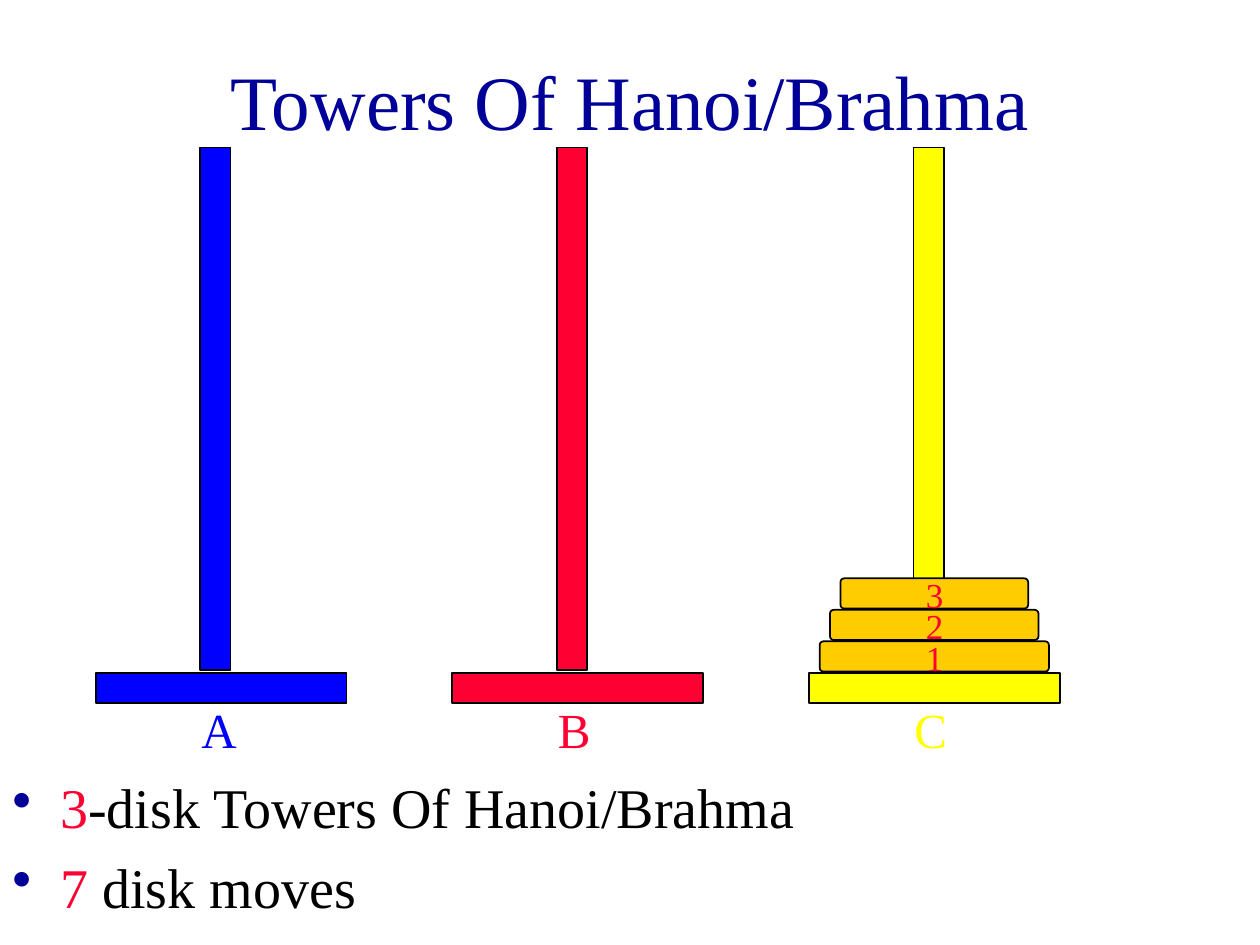
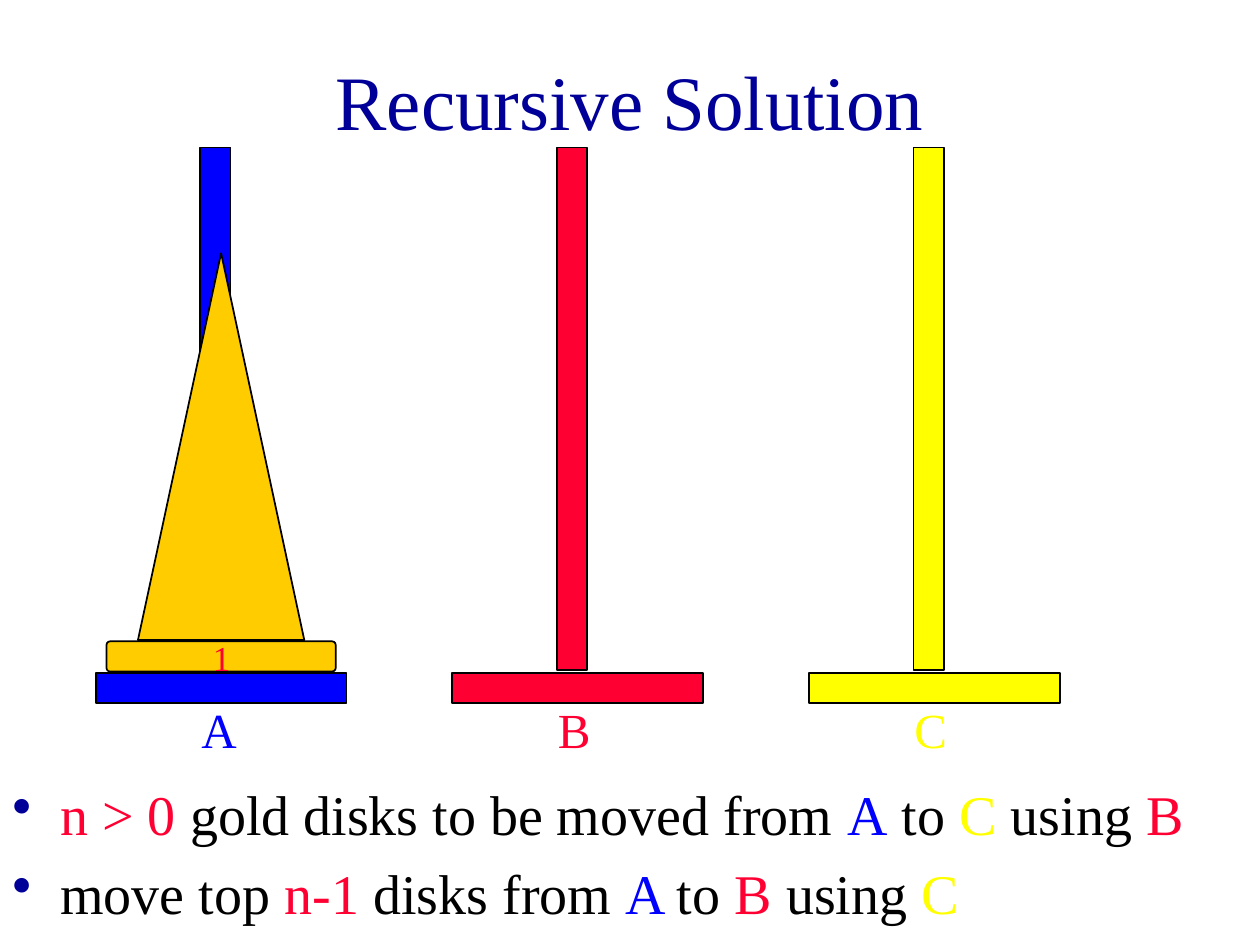
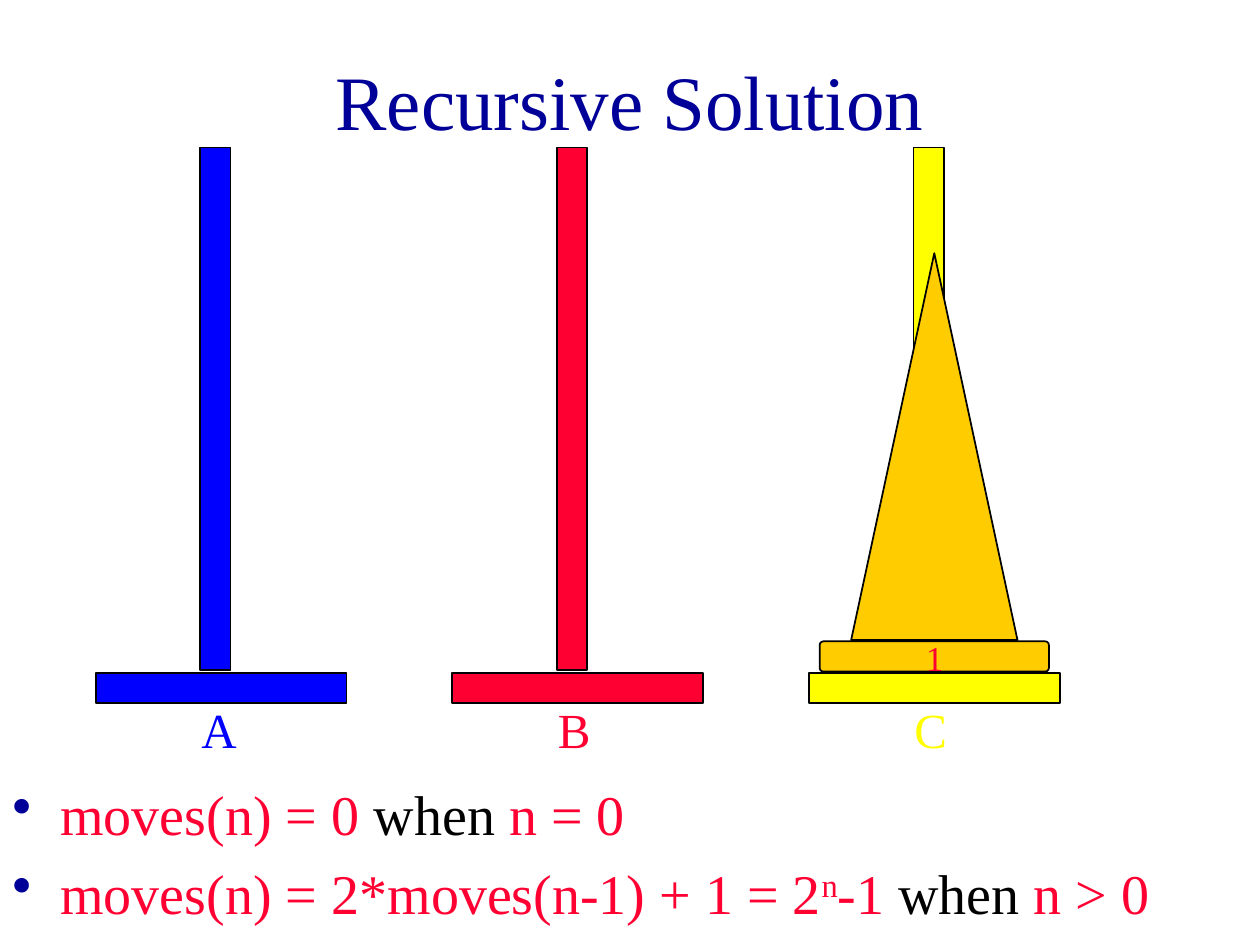
import pptx
import pptx.dml.color
import pptx.enum.shapes
import pptx.enum.text
import pptx.oxml.ns
import pptx.util
from lxml import etree

Inches, Pt = pptx.util.Inches, pptx.util.Pt
RGBColor = pptx.dml.color.RGBColor
SHAPES = pptx.enum.shapes.MSO_SHAPE
ALIGN = pptx.enum.text.PP_ALIGN
ANCHOR = pptx.enum.text.MSO_ANCHOR
AUTO_SIZE = pptx.enum.text.MSO_AUTO_SIZE

FONT = "Times New Roman"
NAVY = RGBColor(0x00, 0x00, 0x99)
BLUE = RGBColor(0x00, 0x00, 0xFF)
RED = RGBColor(0xFF, 0x00, 0x33)
YELLOW = RGBColor(0xFF, 0xFF, 0x00)
GOLD = RGBColor(0xFF, 0xCC, 0x00)
BLACK = RGBColor(0x00, 0x00, 0x00)

# Content. A run is (text, colour) or (text, colour, superscript percent).
TOWERS = [("A", BLUE), ("B", RED), ("C", YELLOW)]
SLIDES = [
    {
        "title": "Towers Of Hanoi/Brahma",
        "bodies": [
            {"top": 6.14, "line_spacing": 0.9,
             "bullets": [[("3", RED), ("-disk Towers Of Hanoi/Brahma", BLACK)]]},
            {"top": 6.72, "bullets": [[("7", RED), (" disk moves", BLACK)]]},
        ],
        "loaded": "C", "disks": 3, "cone": False,
    },
    {
        "title": "Recursive Solution",
        "bodies": [{"top": 6.14, "bullets": [
            [("n > 0", RED), (" gold disks to be moved from ", BLACK), ("A", BLUE),
             (" to ", BLACK), ("C ", YELLOW), ("using ", BLACK), ("B", RED)],
            [("move top ", BLACK), ("n-1 ", RED), ("disks from ", BLACK), ("A ", BLUE),
             ("to ", BLACK), ("B", RED), (" using ", BLACK), ("C", YELLOW)],
        ]}],
        "loaded": "A", "disks": 1, "cone": True,
    },
    {
        "title": "Recursive Solution",
        "bodies": [{"top": 6.14, "bullets": [
            [("moves(n) = 0 ", RED), ("when ", BLACK), ("n = 0", RED)],
            [("moves(n) = 2*moves(n-1) + 1 = 2", RED), ("n", RED, 30), ("-1 ", RED),
             ("when ", BLACK), ("n > 0", RED)],
        ]}],
        "loaded": "C", "disks": 1, "cone": True,
    },
]

# Geometry in inches
TOWER_LEFT, TOWER_STEP = 0.76, 2.83
BASE_TOP, BASE_WIDTH, BAR_HEIGHT = 5.34, 1.99, 0.24
POLE_OFFSET, POLE_TOP, POLE_HEIGHT = 0.83, 1.17, 4.15
DISK_STEP, DISK_WIDTH, DISK_SHRINK = 0.25, 1.82, 0.165
CONE_TOP, CONE_WIDTH, CONE_HEIGHT = 2.01, 1.32, 3.07


def write(frame, paragraphs, size, align=ALIGN.LEFT, before=0, bullet=False,
          line_spacing=None, anchor=ANCHOR.TOP, grow=False):
    """Fill a text frame with paragraphs of coloured runs; before is in percent."""
    frame.word_wrap = True
    frame.auto_size = AUTO_SIZE.SHAPE_TO_FIT_TEXT if grow else AUTO_SIZE.NONE
    frame.vertical_anchor = anchor
    for index, runs in enumerate(paragraphs):
        paragraph = frame.add_paragraph() if index else frame.paragraphs[0]
        paragraph.alignment = align
        if line_spacing:
            paragraph.line_spacing = line_spacing
        properties = paragraph._p.get_or_add_pPr()
        if before:
            add_xml(add_xml(properties, "a:spcBef"), "a:spcPct", val=before * 1000)
        if bullet:
            properties.set("marL", str(Inches(0.38)))
            properties.set("indent", str(-Inches(0.38)))
            add_xml(add_xml(properties, "a:buClr"), "a:srgbClr", val=NAVY)
            add_xml(properties, "a:buChar", char="\u2022")
        for text, colour, *raised in runs:
            run = paragraph.add_run()
            run.text = text
            run.font.name, run.font.size = FONT, Pt(size)
            run.font.color.rgb = colour
            if raised:
                run.font._element.set("baseline", str(raised[0] * 1000))


def add_xml(parent, tag, **attributes):
    """Append a child element with the given attributes."""
    child = etree.SubElement(parent, pptx.oxml.ns.qn(tag))
    for key, value in attributes.items():
        child.set(key, str(value))
    return child


def add_text(slide, box, paragraphs, **style):
    """Add a text box at box, given in inches."""
    write(slide.shapes.add_textbox(*map(Inches, box)).text_frame, paragraphs, **style)


def add_block(slide, kind, box, colour):
    """Add a filled shape with a thin black outline."""
    block = slide.shapes.add_shape(kind, *map(Inches, box))
    block.shadow.inherit = False
    block.fill.solid()
    block.fill.fore_color.rgb = colour
    block.line.color.rgb = BLACK
    block.line.width = Pt(1)
    return block


def add_tower(slide, left, name, colour):
    """Draw a base, its pole and the letter below."""
    add_block(slide, SHAPES.RECTANGLE, (left, BASE_TOP, BASE_WIDTH, BAR_HEIGHT), colour)
    add_block(slide, SHAPES.RECTANGLE,
              (left + POLE_OFFSET, POLE_TOP, BAR_HEIGHT, POLE_HEIGHT), colour)
    add_text(slide, (left + 0.74, 5.5, 1, 0.57), [[(name, colour)]],
             size=28, before=50, grow=True)


def add_disks(slide, left, count):
    """Stack numbered disks, each narrower than the one below."""
    for level in range(count):
        width = DISK_WIDTH - level * DISK_SHRINK
        top = BASE_TOP - (level + 1) * DISK_STEP
        disk = add_block(slide, SHAPES.ROUNDED_RECTANGLE,
                         (left + (BASE_WIDTH - width) / 2, top, width, BAR_HEIGHT), GOLD)
        disk.adjustments[0] = 0.125
        add_text(slide, (left + POLE_OFFSET, top - 0.09, 0.75, 0.43),
                 [[(str(level + 1), RED)]], size=20, before=50, grow=True)


def build_slide(deck, content):
    """Build one slide: title, bullets, towers and disks."""
    slide = deck.slides.add_slide(deck.slide_layouts[5])
    title = slide.shapes.title
    title.left, title.top, title.width, title.height = map(Inches, (0.75, 0.17, 8.5, 1.25))
    write(title.text_frame, [[(content["title"], NAVY)]], size=44,
          align=ALIGN.CENTER, anchor=ANCHOR.MIDDLE)
    for body in content["bodies"]:
        add_text(slide, (0, body["top"], 9.92, 0.61), body["bullets"], size=32,
                 before=20, bullet=True, line_spacing=body.get("line_spacing"))
    lefts = {}
    for index, (name, colour) in enumerate(TOWERS):
        lefts[name] = TOWER_LEFT + index * TOWER_STEP
        add_tower(slide, lefts[name], name, colour)
    loaded_left = lefts[content["loaded"]]
    add_disks(slide, loaded_left, content["disks"])
    if content["cone"]:
        cone_left = loaded_left + (BASE_WIDTH - CONE_WIDTH) / 2
        add_block(slide, SHAPES.ISOSCELES_TRIANGLE,
                  (cone_left, CONE_TOP, CONE_WIDTH, CONE_HEIGHT), GOLD)


deck = pptx.Presentation()
deck.slide_width, deck.slide_height = Inches(10), Inches(7.5)
for slide_content in SLIDES:
    build_slide(deck, slide_content)
deck.save("out.pptx")
